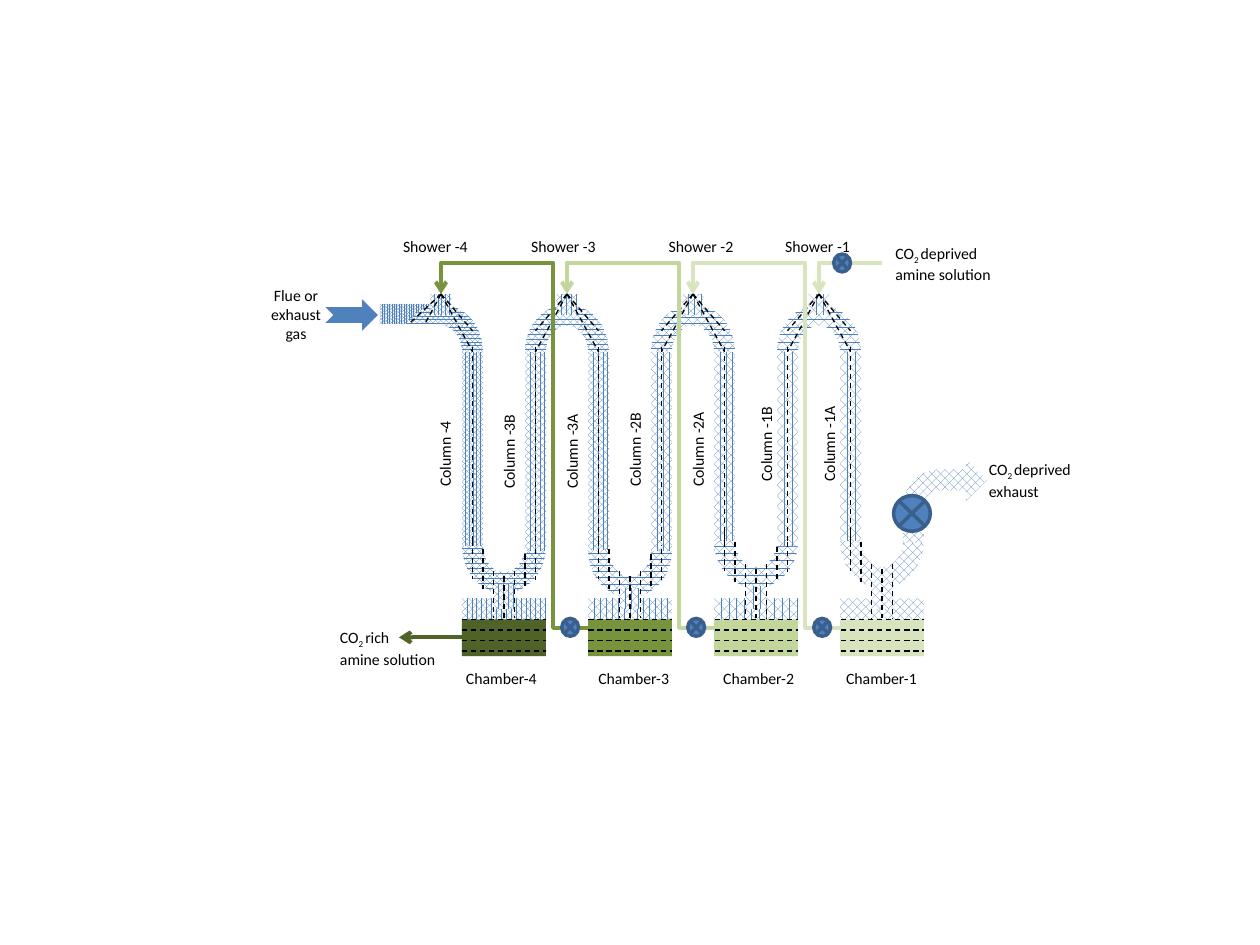
"""Draw a four-stage carbon dioxide scrubber on a grid of twelve cells to the inch."""
from dataclasses import dataclass
from typing import Any

import lxml.etree
import pptx
import pptx.dml.color
import pptx.enum.dml
import pptx.enum.shapes
import pptx.enum.text
import pptx.oxml.ns
import pptx.util

SHAPE = pptx.enum.shapes.MSO_SHAPE
PATTERN = pptx.enum.dml.MSO_PATTERN
ALIGN = pptx.enum.text.PP_ALIGN
COLORS = {
    "blue": "4F81BD", "valve": "3A5F8C", "white": "FFFFFF", "black": "000000",
    "rich": "4F6228", "strong": "77933C", "medium": "C3D69B", "lean": "D7E4BD",
}


@dataclass(frozen=True)
class Stage:
    """One chamber with the peak before it; lengths are grid cells."""
    number: int
    left: float
    inlet: Any
    outlet: Any
    liquid: str
    leg_top: float
    bend_top: float
    neck_top: float
    drip_shift: float
    chamber_label: float
    shower_label: float


@dataclass(frozen=True)
class Label:
    """A text box on the grid."""
    text: str
    left: float
    top: float
    width: float
    height: float = 3
    rotation: float = 0
    align: Any = ALIGN.LEFT


STAGES = [
    Stage(4, 44, PATTERN.PERCENT_80, PATTERN.PERCENT_75, "rich", 33.5, 47.5, 55.6, 0, 43.2, 37.2),
    Stage(3, 56, PATTERN.PERCENT_75, PATTERN.PERCENT_70, "strong", 33.5, 47.9, 56, 0, 55.8, 49.4),
    Stage(2, 68, PATTERN.PERCENT_70, PATTERN.PERCENT_60, "medium", 33.5, 47, 55.8, -0.7, 67.7, 62.5),
    Stage(1, 80, PATTERN.PERCENT_60, PATTERN.PERCENT_50, "lean", 33, 47, 55.5, -0.7, 79.4, 73.6),
]
BEND_DRIPS = [(1, 51.4, 55.1), (2, 52.3, 56.1), (6, 52.8, 55.8), (7, 52.3, 55.2)]
NECK_DRIPS = [(3, 54.4), (4, 54.9), (5, 54.4)]
COLUMN_LABELS = [
    ("4", 37.1, 40.8), ("3B", 43.2, 41), ("3A", 49.2, 41), ("2B", 55.2, 40.8),
    ("2A", 61.2, 40.8), ("1B", 67.7, 40.3), ("1A", 73.7, 40.3),
]
LABELS = [
    Label("Flue or\nexhaust\ngas", 23.5, 26.6, 9.4, 6.7, align=ALIGN.CENTER),
    Label("CO|2 |deprived exhaust", 93, 43.2, 11, 4.8),
    Label("CO|2 |rich\namine solution", 31.2, 59.2, 11.8, 4.8),
    Label("CO|2 |deprived amine solution", 84.1, 22.6, 12, 4.8),
]


def cells(count: float) -> int:
    """Turn grid cells into a length."""
    return pptx.util.Inches(count / 12)


def color(name: str) -> pptx.dml.color.RGBColor:
    """Look up a named colour."""
    return pptx.dml.color.RGBColor.from_string(COLORS[name])


def add_block(shapes, kind, left: float, top: float, width: float, height: float, *,
              fill: str = "blue", pattern=None, line: str = "", rotation: float = 0) -> None:
    """Add a preset shape with a solid or patterned fill."""
    shape = shapes.add_shape(kind, *map(cells, (left, top, width, height)))
    shape.shadow.inherit = False
    shape.rotation = rotation
    if pattern is None:
        shape.fill.solid()
        shape.fill.fore_color.rgb = color(fill)
    else:
        shape.fill.patterned()
        shape.fill.pattern = pattern
        shape.fill.fore_color.rgb = color(fill)
        shape.fill.back_color.rgb = color("white")
    if line:
        shape.line.color.rgb = color(line)
        shape.line.width = pptx.util.Pt(2)
    else:
        shape.line.fill.background()


def add_line(shapes, kind, start: tuple, end: tuple, name: str, weight: float):
    """Add a connector without shadow and return its properties element."""
    connector = shapes.add_connector(kind, *map(cells, start + end))
    connector.line.color.rgb = color(name)
    connector.line.width = pptx.util.Pt(weight)
    if name == "black":
        connector.line.dash_style = pptx.enum.dml.MSO_LINE.DASH
    properties = connector._element.spPr
    lxml.etree.SubElement(properties, pptx.oxml.ns.qn("a:effectLst"))
    return properties


def add_drip(shapes, start: tuple, end: tuple) -> None:
    """Add a thin dashed line."""
    add_line(shapes, pptx.enum.shapes.MSO_CONNECTOR.STRAIGHT, start, end, "black", 0.75)


def add_flow(shapes, source: tuple, tip: tuple, name: str, preset: str, adjustments: tuple = ()) -> None:
    """Add an elbow arrow, turned half round, that runs from source to tip."""
    qn = pptx.oxml.ns.qn
    properties = add_line(shapes, pptx.enum.shapes.MSO_CONNECTOR.ELBOW, tip, source, name, 2.25)
    properties.find(qn("a:xfrm")).set("rot", "10800000")
    geometry = properties.find(qn("a:prstGeom"))
    geometry.set("prst", preset)
    for index, value in enumerate(adjustments, 1):
        lxml.etree.SubElement(geometry.find(qn("a:avLst")), qn("a:gd"),
                              name=f"adj{index}", fmla=f"val {value}")
    lxml.etree.SubElement(properties.find(qn("a:ln")), qn("a:tailEnd"), type="arrow")


def add_text(shapes, label: Label, *, size: float = 9, font: str = "Calibri", name: str = "black") -> None:
    """Add a label; text between bars is subscript."""
    shape = shapes.add_textbox(*map(cells, (label.left, label.top, label.width, label.height)))
    shape.rotation = label.rotation
    frame = shape.text_frame
    frame.word_wrap = True
    frame.auto_size = pptx.enum.text.MSO_AUTO_SIZE.SHAPE_TO_FIT_TEXT
    for row, text in enumerate(label.text.split("\n")):
        paragraph = frame.add_paragraph() if row else frame.paragraphs[0]
        paragraph.alignment = label.align
        for index, part in enumerate(text.split("|")):
            run = paragraph.add_run()
            run.text = part
            run.font.size = pptx.util.Pt(size)
            run.font.name = font
            run.font.color.rgb = color(name)
            if index % 2:
                run._r.get_or_add_rPr().set("baseline", "-25000")


def draw_pipes(shapes) -> None:
    """Draw the gas path, from the flue inlet to the exhaust."""
    add_block(shapes, SHAPE.RECTANGLE, 37.9, 27.2, 2, 5.5, pattern=PATTERN.PERCENT_90, rotation=90)
    for stage in STAGES:
        for left in (stage.left,) if stage.number == 4 else (stage.left - 6, stage.left):
            add_block(shapes, SHAPE.RECTANGLE, left, stage.leg_top, 2, 19, pattern=stage.inlet, rotation=180)
        add_block(shapes, SHAPE.BLOCK_ARC, stage.left, stage.bend_top, 8, 9, pattern=stage.outlet, rotation=180)
        add_block(shapes, SHAPE.BLOCK_ARC, stage.left - 6, 29, 8, 9, pattern=stage.inlet)
    add_block(shapes, SHAPE.BENT_ARROW, 86, 43.7, 8, 8, pattern=PATTERN.PERCENT_50)
    add_block(shapes, SHAPE.RECTANGLE, 36, 31, 6, 5, fill="white", line="white")
    add_block(shapes, SHAPE.NOTCHED_RIGHT_ARROW, 31, 28.5, 5, 3)
    for stage in STAGES:
        add_block(shapes, SHAPE.RECTANGLE, stage.left, 57, 8, 5.5, pattern=stage.outlet)
        add_block(shapes, SHAPE.RECTANGLE, stage.left - 3, 28, 2, 2, pattern=stage.inlet)
        add_block(shapes, SHAPE.RECTANGLE, stage.left + 3, stage.neck_top, 2, 58 - stage.neck_top,
                  pattern=stage.outlet)


def draw_drips(shapes) -> None:
    """Draw the dashed liquid paths of every stage."""
    for stage in STAGES:
        first, last = stage.number == 4, stage.number == 1
        left_fan = [(-1.5, 30.8), (-3, 30.8)] if first else [(-3, 33.5), (-3, 31.5)]
        shower = stage.left - 2
        for offset, bottom in left_fan + [(3, 33.5), (3, 31.5)]:
            add_drip(shapes, (shower, 28), (shower + offset, bottom))
        for x in (stage.left + 1,) if first else (stage.left - 5, stage.left + 1):
            add_drip(shapes, (x, 33), (x, 52))
        for offset, top, bottom in BEND_DRIPS[:2] if last else BEND_DRIPS:
            x = stage.left + offset
            add_drip(shapes, (x, top + stage.drip_shift), (x, bottom + stage.drip_shift))
        for offset, top in NECK_DRIPS:
            add_drip(shapes, (stage.left + offset, top + stage.drip_shift), (stage.left + offset, 58.9))


def draw_liquid(slide) -> None:
    """Draw the chambers, the amine flows and the valves."""
    shapes = slide.shapes
    for stage in STAGES:
        add_block(shapes, SHAPE.RECTANGLE, stage.left, 59, 8, 3.5, fill=stage.liquid)
    levels = shapes.add_group_shape().shapes
    for row in range(59, 63):
        add_drip(levels, (44, row), (88, row))
    for stage in STAGES[1:]:
        add_block(shapes, SHAPE.RECTANGLE, stage.left - 4, 56.9, 4, 5.7, fill="white")
    flows = shapes.add_group_shape().shapes
    add_flow(flows, (84, 25), (78, 28), "lean", "bentConnector2")
    for stage in reversed(STAGES[1:]):
        add_flow(flows, (stage.left, 59.8), (stage.left - 14, 28), stage.liquid, "bentConnector4", (23800, 109400))
    add_flow(shapes, (44, 60.7), (38, 60.7), "rich", "bentConnector3", (50000,))
    valves = [(stage.left - 2.5, 58.9, 1.6, 1.7) for stage in STAGES[1:]]
    for place in valves + [(79.4, 24.2, 1.6, 1.7), (85.1, 47.2, 3.5, 3.4)]:
        add_block(shapes, SHAPE.FLOWCHART_SUMMING_JUNCTION, *place, line="valve")


def main() -> None:
    """Build and save the presentation."""
    presentation = pptx.Presentation()
    presentation.slide_width, presentation.slide_height = cells(120), cells(90)
    slide = presentation.slides.add_slide(presentation.slide_layouts[6])
    draw_pipes(slide.shapes)
    draw_drips(slide.shapes.add_group_shape().shapes)
    draw_liquid(slide)
    labels = LABELS + [Label(f"Chamber-{s.number}", s.chamber_label, 63.1, 9.4) for s in STAGES]
    labels += [Label(f"Shower -{s.number}", s.shower_label, 22, 9) for s in STAGES]
    labels += [Label(f"Column -{n}", left, top, 10.5, rotation=270) for n, left, top in COLUMN_LABELS]
    for label in labels:
        add_text(slide.shapes, label)
    presentation.save("out.pptx")


main()
